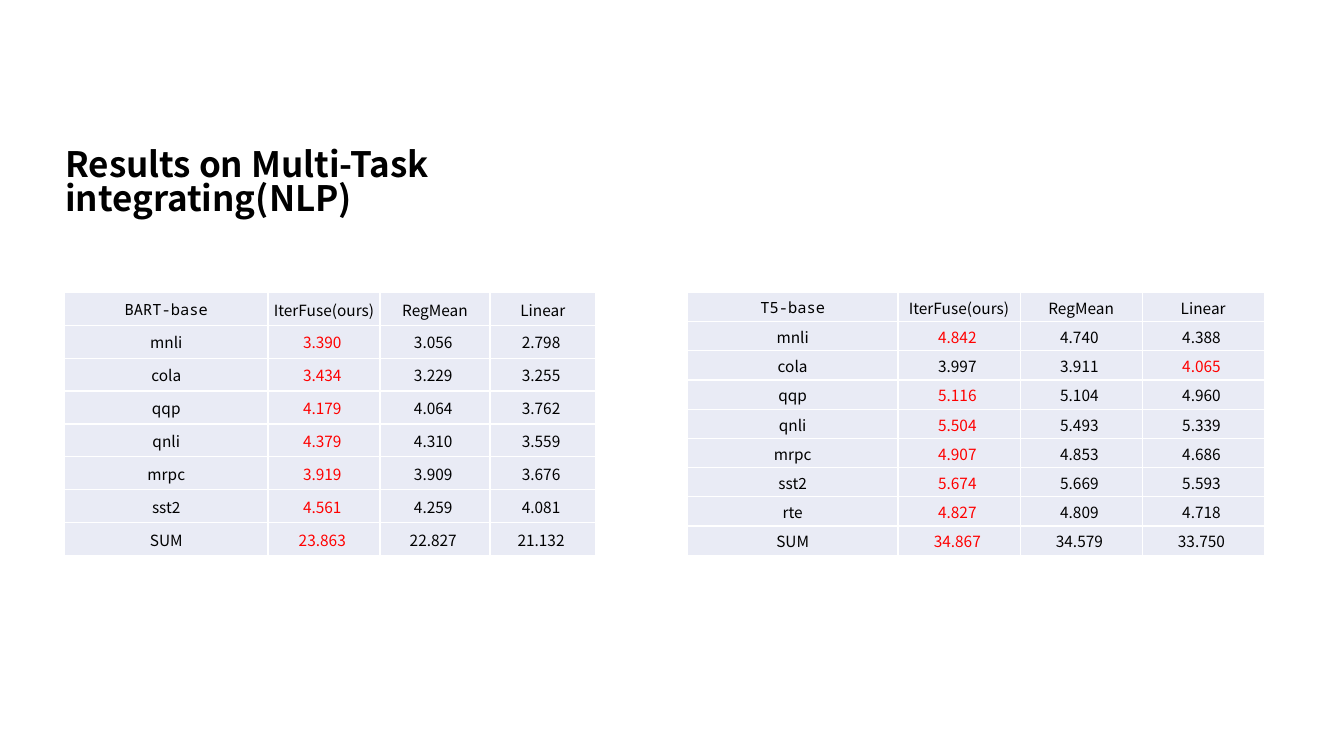
from lxml import etree
from pptx import Presentation
from pptx import util as u
from pptx.dml.color import RGBColor
from pptx.enum import text
from pptx.oxml import ns

BLACK = RGBColor(0x00, 0x00, 0x00)
RED = RGBColor(0xFF, 0x00, 0x00)
WHITE = RGBColor(0xFF, 0xFF, 0xFF)
PALE = RGBColor(0xE9, 0xEB, 0xF5)

METHODS = ["IterFuse(ours)", "RegMean", "Linear"]
BART = {
    "mnli": (3.390, 3.056, 2.798),
    "cola": (3.434, 3.229, 3.255),
    "qqp": (4.179, 4.064, 3.762),
    "qnli": (4.379, 4.310, 3.559),
    "mrpc": (3.919, 3.909, 3.676),
    "sst2": (4.561, 4.259, 4.081),
    "SUM": (23.863, 22.827, 21.132),
}
T5 = {
    "mnli": (4.842, 4.740, 4.388),
    "cola": (3.997, 3.911, 4.065),
    "qqp": (5.116, 5.104, 4.960),
    "qnli": (5.504, 5.493, 5.339),
    "mrpc": (4.907, 4.853, 4.686),
    "sst2": (5.674, 5.669, 5.593),
    "rte": (4.827, 4.809, 4.718),
    "SUM": (34.867, 34.579, 33.750),
}


class Page:
    sans = "Noto Sans CJK SC"
    mono = "Noto Sans Mono"
    small, large = 11, 25

    def __init__(self, slide):
        self.slide = slide

    def run(self, para, words, size, font, color=BLACK, bold=False):
        run = para.add_run()
        run.text = words
        run.font.size = u.Pt(size)
        run.font.name = font
        run.font.bold = bold
        run.font.color.rgb = color

    def title(self, words, left, top, width, height):
        box = self.slide.shapes.add_textbox(
            u.Pt(left), u.Pt(top), u.Pt(width), u.Pt(height))
        frame = box.text_frame
        frame.word_wrap = True
        frame.auto_size = text.MSO_AUTO_SIZE.SHAPE_TO_FIT_TEXT
        para = frame.paragraphs[0]
        para.line_spacing = 0.83
        self.run(para, words, self.large, self.sans, bold=True)

    def border(self, cell):
        """Draw a thin white line on all four sides."""
        props = cell._tc.get_or_add_tcPr()
        for side in ("a:lnL", "a:lnR", "a:lnT", "a:lnB"):
            line = etree.SubElement(props, ns.qn(side), w=str(u.Pt(1)))
            fill = etree.SubElement(line, ns.qn("a:solidFill"))
            etree.SubElement(fill, ns.qn("a:srgbClr"), val=str(WHITE))

    def cell(self, cell, words, font, color=BLACK):
        self.border(cell)
        cell.fill.solid()
        cell.fill.fore_color.rgb = PALE
        cell.vertical_anchor = text.MSO_ANCHOR.MIDDLE
        cell.margin_left = cell.margin_right = cell.margin_top = u.Pt(0.72)
        cell.margin_bottom = u.Pt(0)
        para = cell.text_frame.paragraphs[0]
        para.alignment = text.PP_ALIGN.CENTER
        self.run(para, words, self.small, font, color)

    def scores(self, model, data, left, top, widths, height):
        """Add a table of scores, with the best of each row in red."""
        count = len(data) + 1
        grid = self.slide.shapes.add_table(
            count, len(widths), u.Pt(left), u.Pt(top),
            u.Pt(sum(widths)), u.Pt(height)).table
        for col, width in zip(grid.columns, widths):
            col.width = u.Pt(width)
        for row in grid.rows:
            row.height = u.Pt(height / count)
        self.cell(grid.cell(0, 0), model, self.mono)
        for c, method in enumerate(METHODS, 1):
            self.cell(grid.cell(0, c), method, self.sans)
        for r, (task, values) in enumerate(data.items(), 1):
            self.cell(grid.cell(r, 0), task, self.sans)
            for c, value in enumerate(values, 1):
                color = RED if value == max(values) else BLACK
                self.cell(grid.cell(r, c), f"{value:.3f} ", self.sans, color)


def main():
    deck = Presentation()
    deck.slide_width, deck.slide_height = u.Pt(960), u.Pt(540)
    page = Page(deck.slides.add_slide(deck.slide_layouts[6]))
    page.title("Results on Multi-Task integrating(NLP)", 39.6, 103, 479.5, 37.4)
    page.scores("BART-base", BART, 46.1, 208.8, [145.4, 80, 78.5, 75.6], 188)
    page.scores("T5-base", T5, 491, 208.8, [150.5, 87.2, 87.2, 87.2], 188)
    deck.save("out.pptx")


if __name__ == "__main__":
    main()
